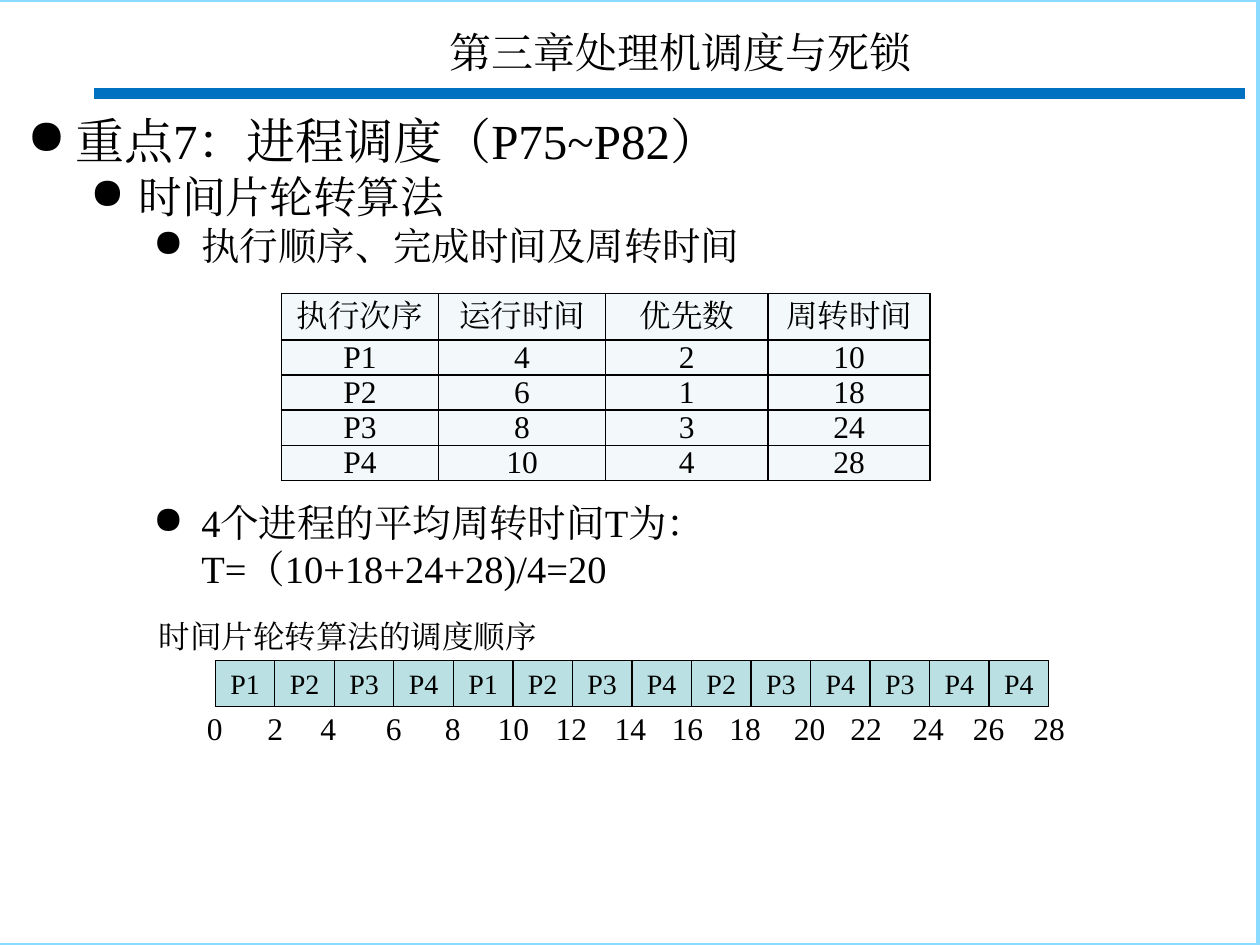
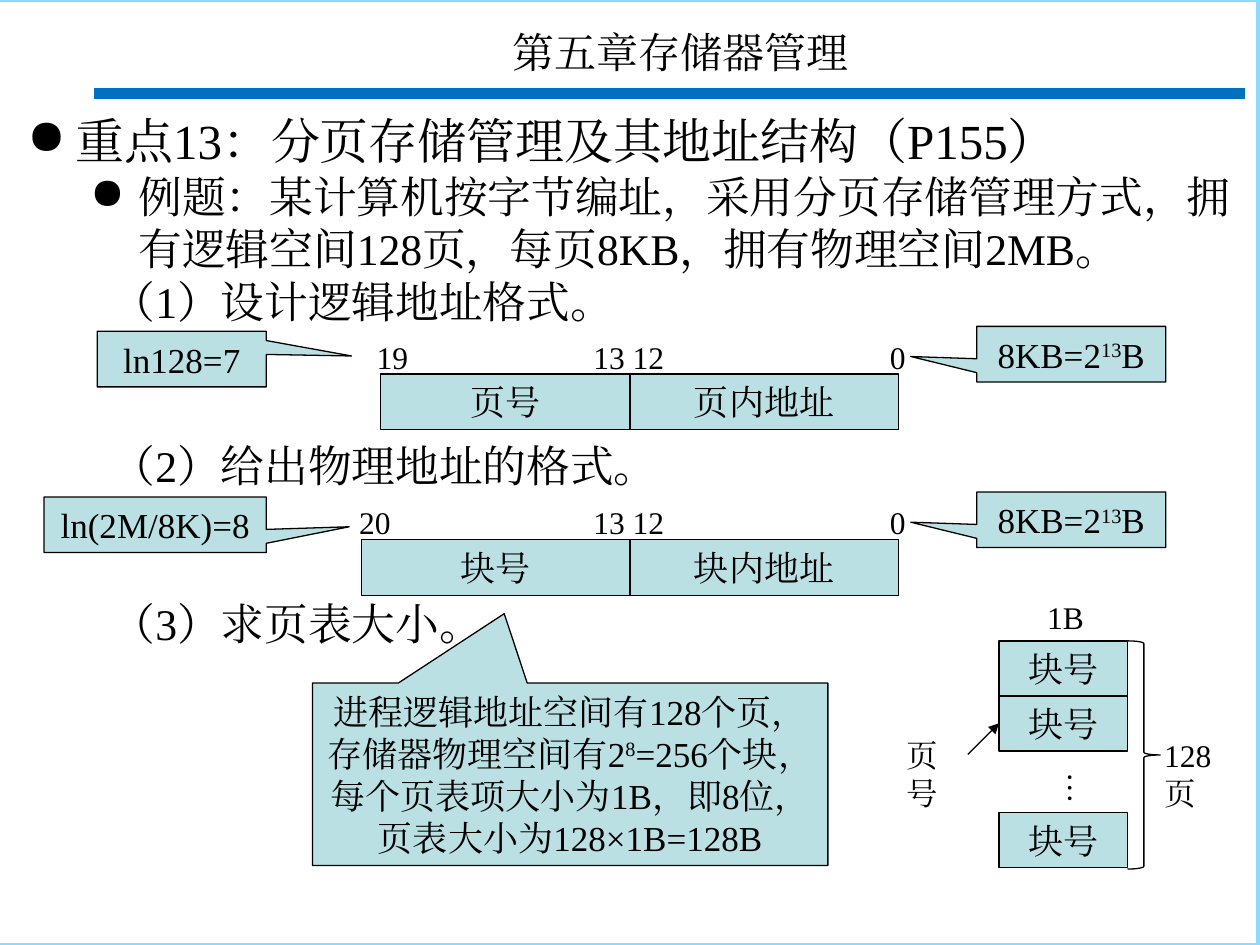
from dataclasses import dataclass

import pptx
import pptx.dml.color
import pptx.enum.shapes
import pptx.enum.text
import pptx.oxml.ns
import pptx.util
from lxml import etree
from pptx.util import Cm

ALIGN = pptx.enum.text.PP_ALIGN
ANCHOR = pptx.enum.text.MSO_ANCHOR
SHAPE = pptx.enum.shapes.MSO_SHAPE
qn = pptx.oxml.ns.qn


# Theme
@dataclass(frozen=True)
class Theme:
    font: str = "Times New Roman"
    ink: str = "000000"
    frame: str = "8ADBFF"
    rule: str = "0070C0"
    box: str = "BBE0E3"
    cell: str = "F3F9FA"
    title: int = 24
    outline: tuple[int, ...] = (28, 25, 22)
    label: int = 18
    slot: int = 16
    field: int = 20
    line_ratio: float = 1.2
    title_ratio: float = 1.5
    table_ratio: float = 1.1
    thin: float = 0.75


THEME = Theme()


# Repeated elements; every length is in centimetres
@dataclass(frozen=True)
class Area:
    left: float
    top: float
    width: float
    height: float

    def lengths(self) -> tuple[Cm, Cm, Cm, Cm]:
        return Cm(self.left), Cm(self.top), Cm(self.width), Cm(self.height)


@dataclass(frozen=True)
class OutlineLine:
    text: str
    level: int
    bulleted: bool = True
    margin: float | None = None
    gap_before: int = 0


@dataclass(frozen=True)
class AddressFormat:
    top: float
    left: float
    high_bit: str
    high_bit_center: float
    names: tuple[str, str]
    note: str
    note_left: float
    note_tip: tuple[float, float]


def color(value: str) -> pptx.dml.color.RGBColor:
    return pptx.dml.color.RGBColor.from_string(value)


# Text
def format_paragraph(paragraph, size: int, align=ALIGN.LEFT, ratio: float = THEME.line_ratio) -> None:
    paragraph.alignment = align
    paragraph.line_spacing = pptx.util.Pt(round(size * ratio, 1))
    for run in paragraph.runs:
        run.font.size = pptx.util.Pt(size)
        run.font.name = THEME.font
        run.font.color.rgb = color(THEME.ink)
        properties = run.font._element
        properties.find(qn("a:latin")).addnext(
            etree.Element(qn("a:ea"), typeface=THEME.font))


def write(text_frame, text: str, size: int, align=ALIGN.CENTER, ratio: float = THEME.line_ratio) -> None:
    """Write one paragraph; parts between ^ marks are superscript."""
    paragraph = text_frame.paragraphs[0]
    for index, part in enumerate(text.split("^")):
        run = paragraph.add_run()
        run.text = part
        if index % 2:
            run.font._element.set("baseline", "30000")
    format_paragraph(paragraph, size, align, ratio)


def add_text(slide, area: Area, text: str, size: int = THEME.label, align=ALIGN.CENTER,
             ratio: float = THEME.line_ratio, wrap: bool = True):
    shape = slide.shapes.add_textbox(*area.lengths())
    shape.text_frame.word_wrap = wrap
    write(shape.text_frame, text, size, align, ratio)
    return shape


def add_label(slide, center: float, top: float, text: str) -> None:
    add_text(slide, Area(center - 0.75, top, 1.5, 1.02), text, wrap=False)


# Shapes
def add_shape(slide, kind, area: Area, fill: str | None = None,
              line: str = THEME.ink, weight: float = THEME.thin):
    shape = slide.shapes.add_shape(kind, *area.lengths())
    shape.shadow.inherit = False
    if fill:
        shape.fill.solid()
        shape.fill.fore_color.rgb = color(fill)
    else:
        shape.fill.background()
    shape.line.color.rgb = color(line)
    shape.line.width = pptx.util.Pt(weight)
    return shape


def add_box(slide, area: Area, text: str, size: int = THEME.field, kind=SHAPE.RECTANGLE):
    shape = add_shape(slide, kind, area, THEME.box)
    shape.text_frame.word_wrap = True
    shape.text_frame.vertical_anchor = ANCHOR.MIDDLE
    write(shape.text_frame, text, size)
    return shape


def add_callout(slide, area: Area, text: str, tip: tuple[float, float]) -> None:
    shape = add_box(slide, area, text, kind=SHAPE.RECTANGULAR_CALLOUT)
    shape.adjustments[0], shape.adjustments[1] = tip


def add_line(slide, start: tuple[float, float], end: tuple[float, float],
             line: str, weight: float, arrow: bool = False) -> None:
    connector = slide.shapes.add_connector(
        pptx.enum.shapes.MSO_CONNECTOR.STRAIGHT, *map(Cm, start + end))
    connector.line.color.rgb = color(line)
    connector.line.width = pptx.util.Pt(weight)
    properties = connector._element.spPr
    if arrow:
        etree.SubElement(properties.find(qn("a:ln")), qn("a:tailEnd"), type="triangle")
    etree.SubElement(properties, qn("a:effectLst"))


# Shared slide parts
def add_outline(slide, lines: list[OutlineLine]) -> None:
    shape = slide.shapes.add_textbox(*Area(0.3, 2.11, 24.79, 15.82).lengths())
    text_frame = shape.text_frame
    text_frame.word_wrap = True
    text_frame.text = "\n".join(line.text for line in lines)
    for line, paragraph in zip(lines, text_frame.paragraphs):
        paragraph.level = line.level
        paragraph.space_before = pptx.util.Pt(line.gap_before)
        format_paragraph(paragraph, THEME.outline[line.level])
        margin = 0.97 + 1.27 * line.level if line.margin is None else line.margin
        properties = paragraph._p.get_or_add_pPr()
        properties.set("marL", str(Cm(margin)))
        properties.set("indent", str(Cm(-0.97) if line.bulleted else 0))
        if line.bulleted:
            etree.SubElement(properties, qn("a:buChar"), char="●")
        else:
            etree.SubElement(properties, qn("a:buNone"))


def add_chapter_slide(presentation, title: str, lines: list[OutlineLine]):
    slide = presentation.slides.add_slide(presentation.slide_layouts[6])
    add_shape(slide, SHAPE.RECTANGLE, Area(-0.03, 0, 25.4, 19.05),
              line=THEME.frame, weight=2.25)
    add_line(slide, (1.9, 1.88), (25.1, 1.88), THEME.rule, 6.25)
    add_text(slide, Area(2.31, 0.15, 22.8, 1.6), title, THEME.title,
             ratio=THEME.title_ratio)
    add_outline(slide, lines)
    return slide


# Slide 1: round robin scheduling
def add_turnaround_table(slide) -> None:
    rows = [("执行次序", "运行时间", "优先数", "周转时间"),
            ("P1", "4", "2", "10"),
            ("P2", "6", "1", "18"),
            ("P3", "8", "3", "24"),
            ("P4", "10", "4", "28")]
    widths = (3.17, 3.37, 3.27, 3.27)
    heights = [0.93] + [0.71] * 4
    area = Area(5.67, 5.92, sum(widths), sum(heights))
    table = slide.shapes.add_table(len(rows), len(widths), *area.lengths()).table
    table.first_row = table.horz_banding = False
    for column, width in zip(table.columns, widths):
        column.width = Cm(width)
    for row, height, texts in zip(table.rows, heights, rows):
        row.height = Cm(height)
        for cell, text in zip(row.cells, texts):
            format_cell(cell, text)


def format_cell(cell, text: str) -> None:
    cell.margin_left = cell.margin_right = Cm(0.23)
    cell.margin_top = cell.margin_bottom = 0
    cell.vertical_anchor = ANCHOR.MIDDLE
    write(cell.text_frame, text, THEME.label, ratio=THEME.table_ratio)
    properties = cell._tc.get_or_add_tcPr()
    for side in ("a:lnL", "a:lnR", "a:lnT", "a:lnB"):
        border = etree.SubElement(properties, qn(side), w=str(pptx.util.Pt(1)))
        fill = etree.SubElement(border, qn("a:solidFill"))
        etree.SubElement(fill, qn("a:srgbClr"), val=THEME.ink)
    cell.fill.solid()
    cell.fill.fore_color.rgb = color(THEME.cell)


def build_scheduling_slide(presentation) -> None:
    slide = add_chapter_slide(presentation, "第三章处理机调度与死锁", [
        OutlineLine("重点7：进程调度（P75~P82）", 0),
        OutlineLine("时间片轮转算法", 1),
        OutlineLine("执行顺序、完成时间及周转时间", 2),
        OutlineLine("4个进程的平均周转时间T为：", 2, gap_before=132),
        OutlineLine("T=（10+18+24+28)/4=20", 2, bulleted=False),
    ])
    add_turnaround_table(slide)

    # Time line: each slot lasts two units
    order = "P1 P2 P3 P4 P1 P2 P3 P4 P2 P3 P4 P3 P4 P4".split()
    slot_width = 1.2
    for index, process in enumerate(order):
        add_box(slide, Area(4.34 + index * slot_width, 13.31, slot_width, 0.94),
                process, THEME.slot)
    tick_centers = (4.33, 5.55, 6.62, 7.94, 9.13, 10.35, 11.52, 12.71,
                    13.86, 15.02, 16.32, 17.46, 18.71, 19.93, 21.15)
    for index, center in enumerate(tick_centers):
        add_label(slide, center, 14.17, str(2 * index))
    add_text(slide, Area(2.95, 12.32, 8.5, 1.02), "时间片轮转算法的调度顺序",
             align=ALIGN.LEFT)


# Slide 2: paging and address formats
def add_address_format(slide, address: AddressFormat) -> None:
    split, right, height = 12.7, 18.11, 1.12
    edges = (address.left, split, right)
    for name, start, end in zip(address.names, edges, edges[1:]):
        add_box(slide, Area(start, address.top, end - start, height), name)
    bits = {address.high_bit: address.high_bit_center, "13": 12.28, "12": 13.07, "0": 18.1}
    for bit, center in bits.items():
        add_label(slide, center, address.top - 0.86, bit)
    note_right = 5.37
    add_callout(slide, Area(address.note_left, address.top - 0.86,
                            note_right - address.note_left, height),
                address.note, address.note_tip)
    add_callout(slide, Area(19.69, address.top - 0.96, 3.81, height),
                "8KB=2^13^B", (-0.849, 0.043))


def add_page_table(slide) -> None:
    left, width, height = 20.14, 2.59, 1.11
    for top in (12.92, 14.03, 16.38):
        add_box(slide, Area(left, top, width, height), "块号")
    dots = add_text(slide, Area(21.03, 15.32, 1.27, 0.89), "…",
                    align=ALIGN.LEFT, wrap=False)
    dots.text_frame._txBody.bodyPr.set("vert", "eaVert")
    add_label(slide, 18.6, 14.71, "页号")
    add_line(slide, (19.51, 15.21), (left, 14.58), THEME.ink, THEME.thin, arrow=True)
    add_shape(slide, SHAPE.RIGHT_BRACE, Area(left + width, 12.92, 0.66, 4.6))
    add_text(slide, Area(23.22, 14.71, 1.6, 1.8), "128页", align=ALIGN.LEFT)
    add_label(slide, 21.48, 11.94, "1B")


def build_paging_slide(presentation) -> None:
    question = dict(level=1, bulleted=False, margin=1.7)
    slide = add_chapter_slide(presentation, "第五章存储器管理", [
        OutlineLine("重点13：分页存储管理及其地址结构（P155）", 0),
        OutlineLine("例题：某计算机按字节编址，采用分页存储管理方式，"
                    "拥有逻辑空间128页，每页8KB，拥有物理空间2MB。", 1),
        OutlineLine("（1）设计逻辑地址格式。", **question),
        OutlineLine("（2）给出物理地址的格式。", gap_before=64, **question),
        OutlineLine("（3）求页表大小。", gap_before=60, **question),
    ])
    add_callout(slide, Area(6.3, 13.77, 10.39, 3.68),
                "进程逻辑地址空间有128个页，存储器物理空间有2^8^=256个块，"
                "每个页表项大小为1B，即8位，页表大小为128×1B=128B",
                (-0.128, -0.88))
    for address in (
        AddressFormat(7.54, 7.67, "19", 7.91, ("页号", "页内地址"),
                      "ln128=7", 1.96, (1.004, -0.056)),
        AddressFormat(10.88, 7.29, "20", 7.56, ("块号", "块内地址"),
                      "ln(2M/8K)=8", 0.89, (0.873, 0.036)),
    ):
        add_address_format(slide, address)
    add_page_table(slide)


def main() -> None:
    presentation = pptx.Presentation()
    presentation.slide_width, presentation.slide_height = Cm(25.4), Cm(19.05)
    build_scheduling_slide(presentation)
    build_paging_slide(presentation)
    presentation.save("out.pptx")


if __name__ == "__main__":
    main()
